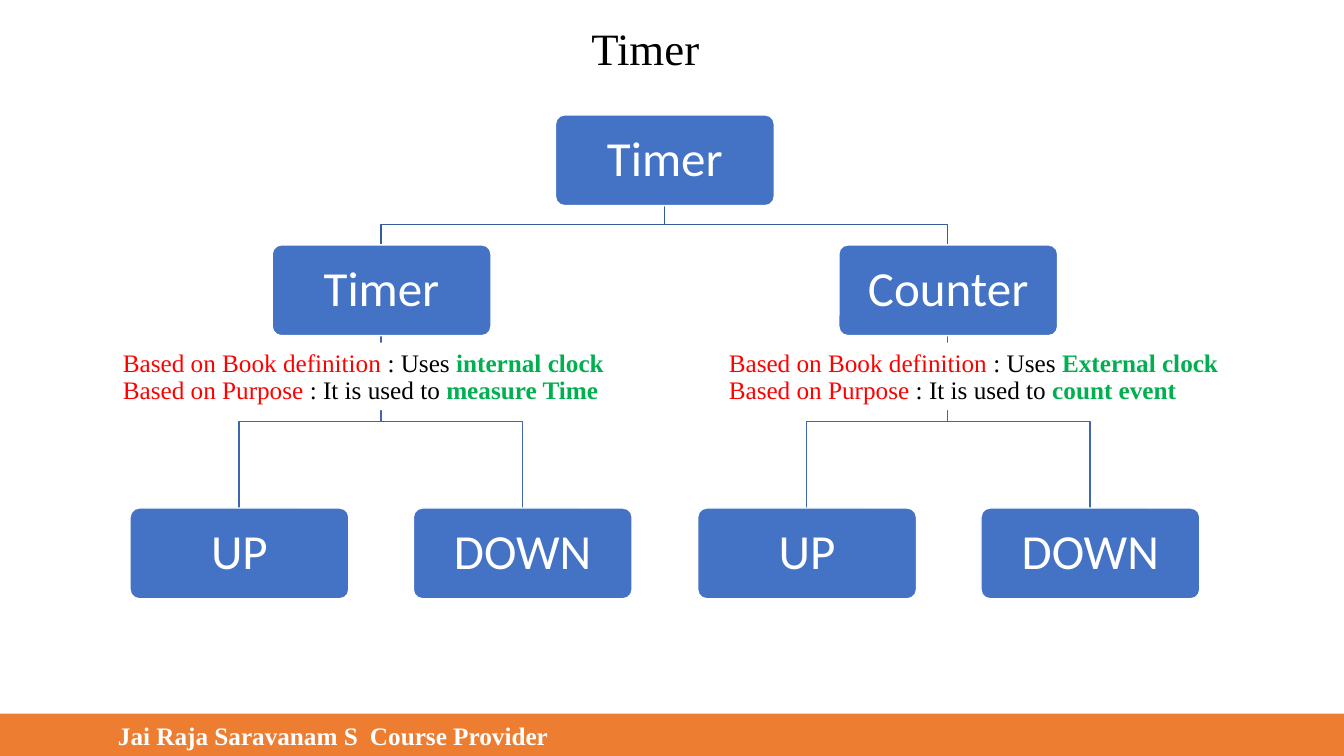
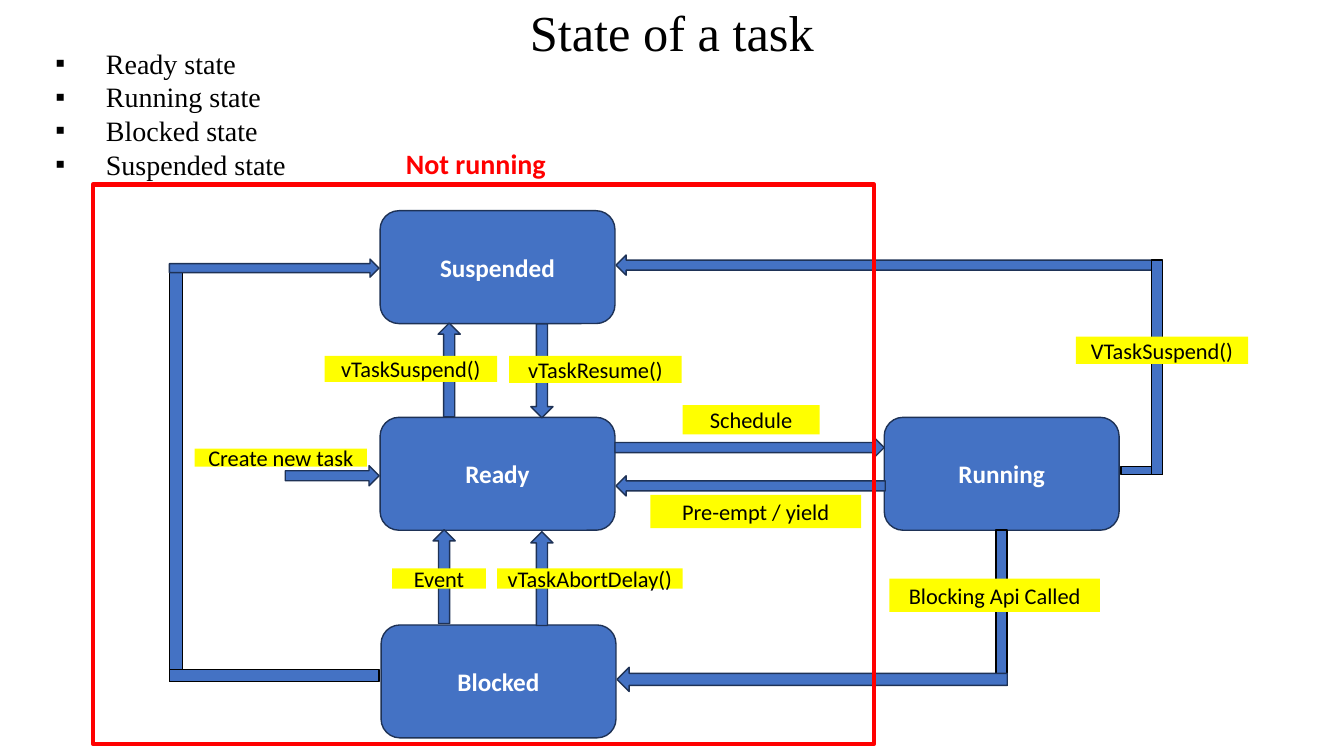
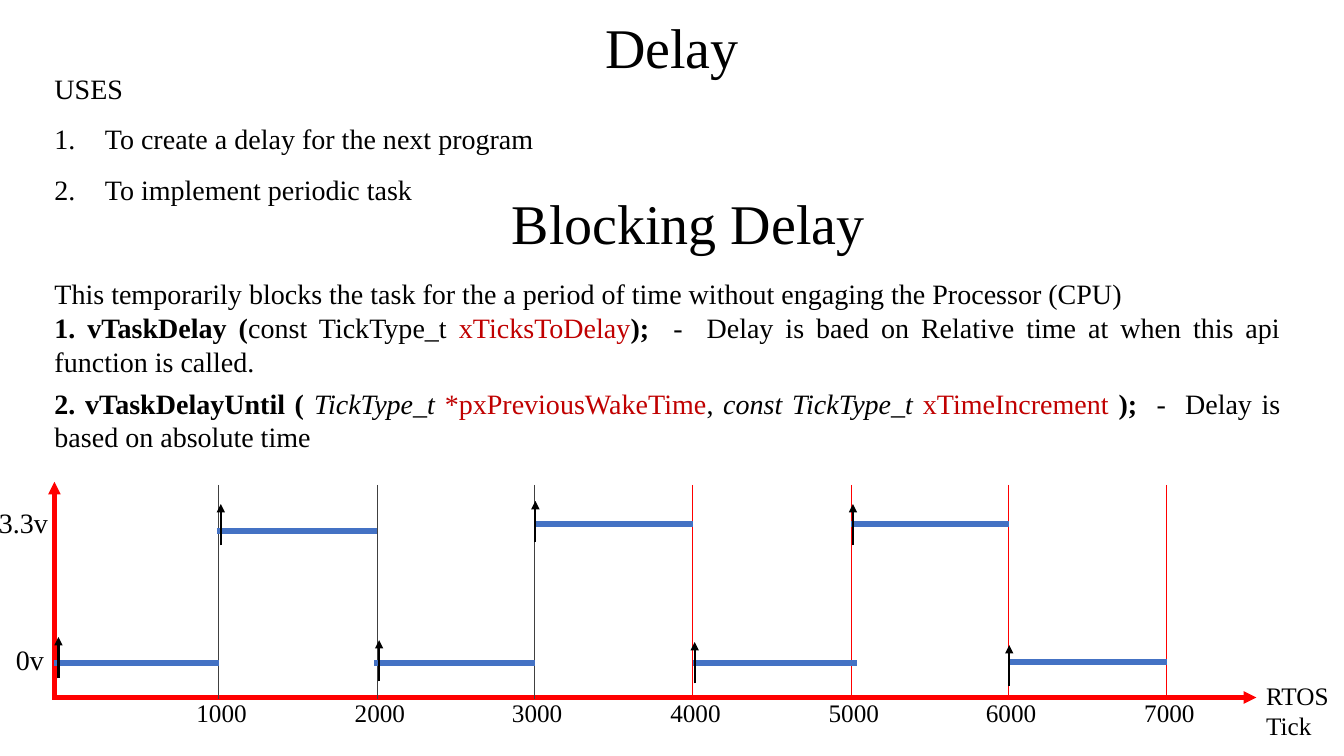
from dataclasses import dataclass, field
from typing import Any, NamedTuple

from lxml import etree
from pptx import Presentation, slide as sl, util as u
from pptx.dml import color as col
from pptx.enum import shapes as es, text as et
from pptx.oxml import ns

SCALE = 9144
BLUE, NAVY, RED, GREEN = "4472C4", "1E3256", "FF0000", "00B050"
BLACK, WHITE, ORANGE, YELLOW = "000000", "FFFFFF", "ED7D31", "FFFF00"
WINE, GRAY = "C00000", "404040"
SERIF, SANS = "Times New Roman", "Calibri"
RECT, ROUND = es.MSO_SHAPE.RECTANGLE, es.MSO_SHAPE.ROUNDED_RECTANGLE
ARROW = es.MSO_SHAPE.RIGHT_ARROW
TOP, MID, LOW = et.MSO_ANCHOR.TOP, et.MSO_ANCHOR.MIDDLE, et.MSO_ANCHOR.BOTTOM
CENTER = {"alignment": et.PP_ALIGN.CENTER}
TITLE = CENTER | {"line_spacing": 0.9}
JUST = {"alignment": et.PP_ALIGN.JUSTIFY}
BOLD, ITALIC, DARK = {"bold": True}, {"italic": True}, {"color": WINE}


class Box(NamedTuple):
    left: int
    top: int
    wide: int
    high: int


class Run(NamedTuple):
    text: str
    form: dict[str, Any] = {}


@dataclass
class Para:
    runs: list[Run]
    form: dict[str, Any] = field(default_factory=dict)
    mark: str = ""


class Block(NamedTuple):
    box: Box
    kind: Any = RECT
    turn: int = 0
    edge: str = BLACK


class Label(NamedTuple):
    text: str
    box: Box


class Pulse(NamedTuple):
    left: int
    right: int
    top: int
    mark: int
    foot: int


def px(num: float) -> int:
    return round(num * SCALE)


def tint(code: str) -> col.RGBColor:
    return col.RGBColor.from_string(code)


def face(size: int, color: str = BLACK, name: str = SERIF, **more: Any) -> dict[str, Any]:
    return {"size": u.Pt(size), "color": color, "name": name, **more}


def style(item: Any, form: dict[str, Any]) -> None:
    for key, val in form.items():
        if key == "color":
            item.color.rgb = tint(val)
        else:
            setattr(item, key, val)


def plain(text: str, form: dict[str, Any] | None = None, mark: str = "") -> Para:
    return Para([Run(text)], form or {}, mark)


def bullet(para: Any, mark: str) -> None:
    prop = para._p.get_or_add_pPr()
    dent = px(50) if mark else 0
    prop.set("marL", str(dent))
    prop.set("indent", str(-dent))
    if not mark:
        etree.SubElement(prop, ns.qn("a:buNone"))
    elif mark == "1.":
        etree.SubElement(prop, ns.qn("a:buAutoNum"), type="arabicPeriod")
    else:
        etree.SubElement(prop, ns.qn("a:buFont"), typeface=SERIF)
        etree.SubElement(prop, ns.qn("a:buChar"), char=mark)


def write(shape: Any, paras: list[Para], font: dict[str, Any], anchor: Any = TOP,
          wrap: bool = True) -> None:
    frame = shape.text_frame
    style(frame, {"word_wrap": wrap, "auto_size": et.MSO_AUTO_SIZE.NONE,
                  "vertical_anchor": anchor})
    for num, para in enumerate(paras):
        line = frame.add_paragraph() if num else frame.paragraphs[0]
        bullet(line, para.mark)
        style(line, {"alignment": et.PP_ALIGN.LEFT, "space_before": u.Pt(0)} | para.form)
        for part in para.runs:
            run = line.add_run()
            run.text = part.text
            style(run.font, font | part.form)


def place(shape: Any, box: Box) -> Any:
    style(shape, dict(zip(("left", "top", "width", "height"), map(px, box))))
    return shape


def head(slide: sl.Slide, text: str, box: Box, size: int, anchor: Any = TOP) -> None:
    write(place(slide.shapes.title, box), [plain(text, TITLE)], face(size), anchor)


def note(slide: sl.Slide, box: Box, paras: list[Para], font: dict[str, Any]) -> None:
    write(slide.shapes.add_textbox(*map(px, box)), paras, font)


def paint(shape: Any, fill: str = "", edge: str = "", width: float = 1) -> Any:
    shape.shadow.inherit = False
    if fill:
        shape.fill.solid()
        shape.fill.fore_color.rgb = tint(fill)
    else:
        shape.fill.background()
    if edge:
        style(shape.line, {"color": edge, "width": u.Pt(width)})
    else:
        shape.line.fill.background()
    return shape


def draw(slide: sl.Slide, box: Box, kind: Any = RECT, fill: str = "", edge: str = "",
         width: float = 1) -> Any:
    return paint(slide.shapes.add_shape(kind, *map(px, box)), fill, edge, width)


def rule(slide: sl.Slide, ends: tuple[int, int, int, int], color: str, width: float,
         tip: bool = False) -> None:
    line = slide.shapes.add_connector(es.MSO_CONNECTOR.STRAIGHT, *map(px, ends))
    style(line.line, {"color": color, "width": u.Pt(width)})
    if tip:
        etree.SubElement(line.line._get_or_add_ln(), ns.qn("a:tailEnd"), type="triangle")
    etree.SubElement(line._element.spPr, ns.qn("a:effectLst"))


def foot(slide: sl.Slide) -> None:
    band = draw(slide, Box(0, 708, 1333, 43), fill=ORANGE)
    band.text_frame.margin_left = px(117)
    write(band, [plain("Jai Raja Saravanam S\tCourse Provider")], face(18, WHITE, bold=True), MID)
    prop = band.text_frame.paragraphs[0]._p.get_or_add_pPr()
    tabs = etree.SubElement(prop, ns.qn("a:tabLst"))
    etree.SubElement(tabs, ns.qn("a:tab"), pos=str(px(888)), algn="l")


def timer(slide: sl.Slide) -> None:
    head(slide, "Timer", Box(140, 13, 1000, 67), 32, LOW)
    foot(slide)
    wide, high = 217, 90
    tops = (114, 243, 504)
    cols = [round(237 + 281.4 * num) for num in range(4)]
    mids = [round((cols[num] + cols[num + 1]) / 2) for num in (0, 2)]
    root = round(sum(mids) / 2)
    links = [(root, mid, 0, "365B9D") for mid in mids]
    links += [(mids[num // 2], end, 1, "3E67B2") for num, end in enumerate(cols)]
    for start, end, row, color in links:
        top, low = tops[row] + high, tops[row + 1]
        bend = (top + low) // 2
        path = slide.shapes.build_freeform(start, top, scale=float(SCALE))
        path.add_line_segments([(start, bend), (end, bend), (end, low)], close=False)
        paint(path.convert_to_shape(), edge=color)
    rows = (
        [("Timer", root)],
        list(zip(("Timer", "Counter"), mids)),
        list(zip(("UP", "DOWN") * 2, cols)),
    )
    for top, row in zip(tops, rows):
        for text, mid in row:
            card = draw(slide, Box(mid - wide // 2, top, wide, high), ROUND, BLUE, WHITE)
            card.adjustments[0] = 0.1
            write(card, [plain(text, TITLE)], face(35, WHITE, SANS), MID)
    red, green = {"color": RED}, {"color": GREEN, "bold": True}
    snug = {"line_spacing": 0.9}
    for left, span, clock, use in ((112, 501, "internal clock", "measure Time"),
                                   (713, 541, "External clock", "count event")):
        lines = [
            Para([Run("Based on Book definition ", red), Run(": Uses "), Run(clock, green)], snug),
            Para([Run("Based on Purpose ", red), Run(": It is used to "), Run(use, green)], snug),
        ]
        write(draw(slide, Box(left, 340, span, 67), fill=WHITE), lines, face(18), LOW)


CARDS = [
    Label("Ready", Box(377, 414, 233, 112)),
    Label("Running", Box(877, 414, 233, 112)),
    Label("Suspended", Box(377, 209, 233, 112)),
    Label("Blocked", Box(378, 620, 233, 112)),
]
BACK = [Block(Box(1112, 463, 41, 8)), Block(Box(168, 270, 13, 406))]
FLOWS = [
    Block(Box(*spot), ARROW, turn, NAVY)
    for *spot, turn in (
        (610, 434, 267, 20, 0), (611, 472, 267, 20, 180),
        (491, 357, 93, 22, 90), (399, 356, 93, 22, 270),
        (394, 561, 93, 22, 270), (491, 563, 93, 22, 270),
        (283, 462, 93, 20, 0), (168, 257, 208, 18, 0),
        (611, 253, 540, 20, 180),
    )
]
FRONT = [
    Block(Box(168, 664, 208, 12)),
    Block(Box(1142, 258, 11, 213)),
    Block(Box(988, 526, 11, 154)),
    Block(Box(612, 662, 387, 24), ARROW, 180, NAVY),
]
TAGS = [
    Label("Create new task", Box(193, 445, 171, 18)),
    Label("Event", Box(389, 564, 93, 20)),
    Label("Blocking Api Called", Box(882, 574, 209, 33)),
    Label("Pre-empt / yield", Box(645, 491, 209, 33)),
    Label("Schedule", Box(677, 402, 136, 29)),
    Label("vTaskSuspend()", Box(322, 353, 171, 26)),
    Label("vTaskResume()", Box(505, 353, 171, 27)),
    Label("VTaskSuspend()", Box(1067, 334, 171, 27)),
    Label("vTaskAbortDelay()", Box(493, 564, 184, 20)),
]


def stack(slide: sl.Slide, blocks: list[Block]) -> None:
    for block in blocks:
        draw(slide, block.box, block.kind, BLUE, block.edge).rotation = block.turn


def states(slide: sl.Slide) -> None:
    head(slide, "State of a task", Box(60, 3, 1213, 200), 36)
    names = ("Ready", "Running", "Blocked", "Suspended")
    write(place(slide.placeholders[1], Box(45, 41, 666, 145)),
          [plain(f"{name} state", mark="▪") for name in names], face(20))
    stack(slide, BACK)
    for text, box in CARDS:
        write(draw(slide, box, ROUND, BLUE, NAVY), [plain(text, CENTER)],
              face(18, WHITE, SANS, bold=True), MID)
    stack(slide, FLOWS + FRONT)
    for text, box in TAGS:
        write(draw(slide, box, fill=YELLOW), [plain(text, CENTER)],
              face(16, name=SANS), MID, False)
    draw(slide, Box(92, 183, 775, 555), edge=RED, width=3)
    note(slide, Box(139, 140, 666, 44), [plain("Not running", CENTER)],
         face(20, RED, SANS, bold=True))


PULSES = [
    Pulse(54, 217, 658, 58, 673),
    Pulse(215, 374, 527, 219, 541),
    Pulse(371, 531, 658, 376, 676),
    Pulse(531, 687, 520, 531, 538),
    Pulse(687, 850, 658, 689, 678),
    Pulse(844, 1001, 520, 846, 541),
    Pulse(1001, 1157, 657, 1001, 681),
]


def delay(slide: sl.Slide) -> None:
    head(slide, "Delay", Box(563, 15, 207, 64), 40)
    loose = {"line_spacing": 1.5}
    write(place(slide.placeholders[1], Box(44, 66, 1048, 139)), [
        plain("USES"),
        plain("To create a delay for the next program", loose, "1."),
        plain("To implement periodic task", loose, "1."),
    ], face(20))
    write(place(slide.placeholders[2], Box(44, 253, 1236, 204)), [
        plain("This temporarily blocks the task for the a period of time "
              "without engaging the Processor (CPU)", JUST | loose),
        Para([
            Run("1. vTaskDelay (", BOLD), Run("const TickType_t "),
            Run("xTicksToDelay", DARK), Run(");  ", BOLD),
            Run("-  Delay is baed on Relative time at when this api function is called."),
        ], JUST | {"space_after": u.Pt(6)}),
        Para([
            Run("2. vTaskDelayUntil ( ", BOLD), Run("TickType_t ", ITALIC),
            Run("*pxPreviousWakeTime", DARK), Run(", "),
            Run("const TickType_t ", ITALIC), Run("xTimeIncrement ", DARK),
            Run(");  ", BOLD), Run("-  Delay is based on absolute time"),
        ], JUST),
    ], face(20))
    note(slide, Box(76, 190, 1213, 64), [plain("Blocking Delay", TITLE)], face(40))
    rule(slide, (54, 694, 54, 478), RED, 3, True)
    rule(slide, (53, 692, 1246, 692), RED, 3, True)
    for num in range(1, 8):
        spot = round(60.3 + 156.7 * num)
        rule(slide, (spot, 481, spot, 693), GRAY if num < 4 else RED, 0.5)
        note(slide, Box(spot - 32, 687, 84, 40), [plain(str(num * 1000))], face(18))
    for pulse in PULSES:
        rule(slide, (pulse.left, pulse.top, pulse.right, pulse.top), BLUE, 4.5)
    for pulse in PULSES:
        rule(slide, (pulse.mark, pulse.foot, pulse.mark, pulse.foot - 41), BLACK, 1.5, True)
    note(slide, Box(1246, 670, 84, 71), [plain("RTOS"), plain("Tick")], face(18))
    note(slide, Box(-11, 497, 74, 43), [plain("3.3v")], face(20))
    note(slide, Box(6, 632, 54, 43), [plain("0v")], face(20))


def main() -> None:
    deck = Presentation()
    deck.slide_width, deck.slide_height = px(1333), px(750)
    for make, num in ((timer, 5), (states, 1), (delay, 3)):
        make(deck.slides.add_slide(deck.slide_layouts[num]))
    deck.save("out.pptx")


if __name__ == "__main__":
    main()
